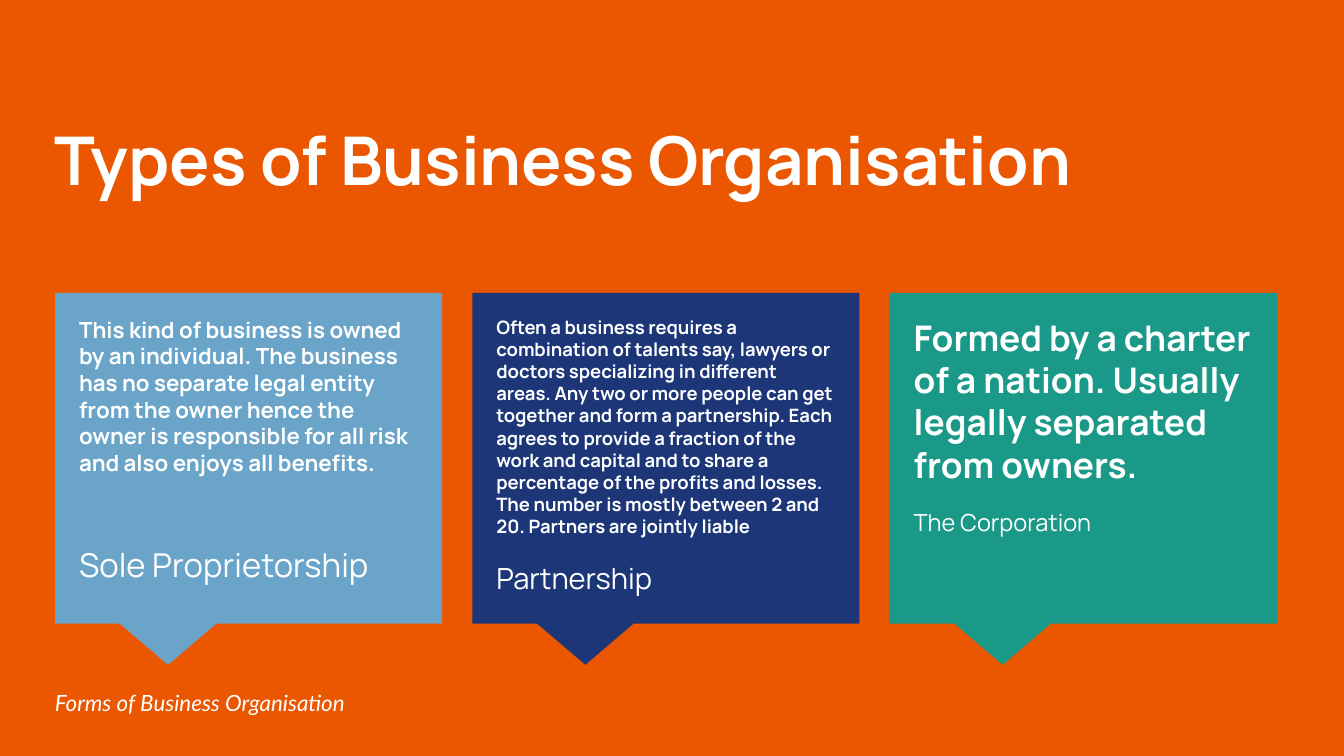
from dataclasses import dataclass

from pptx import Presentation
from pptx.dml.color import RGBColor
from pptx.enum.shapes import MSO_SHAPE as Shape
from pptx.enum.text import MSO_ANCHOR as Anchor
from pptx.slide import Slide
from pptx.text.text import TextFrame, _Paragraph as Paragraph
from pptx.util import Inches, Pt


@dataclass(frozen=True)
class Theme:
    background: str = "EB5600"
    text: str = "FFFFFF"
    blue: str = "6AA4C8"
    navy: str = "1C3678"
    green: str = "1A9988"
    heading_font: str = "Manrope"
    footer_font: str = "Lato"
    title_size: float = 36
    footer_size: float = 12


@dataclass(frozen=True)
class Card:
    name: str
    description: str
    color: str
    description_size: float
    name_size: float
    name_gap: float = 12


THEME = Theme()
CARD_LEFT, CARD_TOP, CARD_WIDTH, CARD_HEIGHT = 0.41, 2.18, 2.88, 2.46
CARD_RIGHTMOST = 6.62

CARDS = [
    Card("Sole Proprietorship",
         "This kind of business is owned by an individual. The business has no "
         "separate legal entity from the owner hence the owner is responsible "
         "for all risk and also enjoys all benefits.",
         THEME.blue, 11.9, 17.6, 37),
    Card("Partnership",
         "Often a business requires a combination of talents say, lawyers or "
         "doctors specializing in different areas. Any two or more people can "
         "get together and form a partnership. Each agrees to provide a "
         "fraction of the work and capital and to share a percentage of the "
         "profits and losses. The number is mostly between 2 and 20. Partners "
         "are jointly liable",
         THEME.navy, 9.9, 15.6),
    Card("The Corporation",
         "Formed by a charter of a nation. Usually legally separated from owners.",
         THEME.green, 18.9, 12.6),
]


def add_text_frame(slide: Slide, left: float, top: float, width: float,
                   height: float, anchor: Anchor = Anchor.TOP) -> TextFrame:
    box = slide.shapes.add_textbox(Inches(left), Inches(top), Inches(width), Inches(height))
    frame = box.text_frame
    frame.word_wrap = True
    frame.vertical_anchor = anchor
    frame.margin_left = frame.margin_right = Inches(0.1)
    frame.margin_top = frame.margin_bottom = Inches(0.1)
    return frame


def write(paragraph: Paragraph, text: str, size: float, bold: bool = False,
          italic: bool = False, font_name: str = THEME.heading_font) -> None:
    paragraph.text = text
    font = paragraph.font
    font.name, font.size = font_name, Pt(size)
    font.bold, font.italic = bold, italic
    font.color.rgb = RGBColor.from_string(THEME.text)


def add_card(slide: Slide, card: Card, left: float) -> None:
    callout = slide.shapes.add_shape(
        Shape.RECTANGULAR_CALLOUT, Inches(left), Inches(CARD_TOP),
        Inches(CARD_WIDTH), Inches(CARD_HEIGHT))
    callout.adjustments[0], callout.adjustments[1] = -0.208, 0.625
    callout.shadow.inherit = False
    callout.fill.solid()
    callout.fill.fore_color.rgb = RGBColor.from_string(card.color)
    callout.line.fill.background()

    frame = add_text_frame(slide, left + 0.08, CARD_TOP + 0.07, 2.71, 2.19)
    write(frame.paragraphs[0], card.description, card.description_size, bold=True)
    name = frame.add_paragraph()
    write(name, card.name, card.name_size)
    name.space_before = Pt(card.name_gap)


def main() -> None:
    presentation = Presentation()
    presentation.slide_width = Inches(10)
    presentation.slide_height = presentation.slide_width * 9 // 16
    slide = presentation.slides.add_slide(presentation.slide_layouts[6])
    slide.background.fill.solid()
    slide.background.fill.fore_color.rgb = RGBColor.from_string(THEME.background)

    title = add_text_frame(slide, 0.31, 0.78, 9.43, 1.12)
    write(title.paragraphs[0], "Types of Business Organisation", THEME.title_size, bold=True)

    pitch = (CARD_RIGHTMOST - CARD_LEFT) / (len(CARDS) - 1)
    for index, card in enumerate(CARDS):
        add_card(slide, card, CARD_LEFT + index * pitch)

    footer = add_text_frame(slide, 0.31, 5.09, 6.83, 0.28, Anchor.MIDDLE)
    write(footer.paragraphs[0], "Forms of Business Organisation", THEME.footer_size,
          italic=True, font_name=THEME.footer_font)

    presentation.save("out.pptx")


if __name__ == "__main__":
    main()
